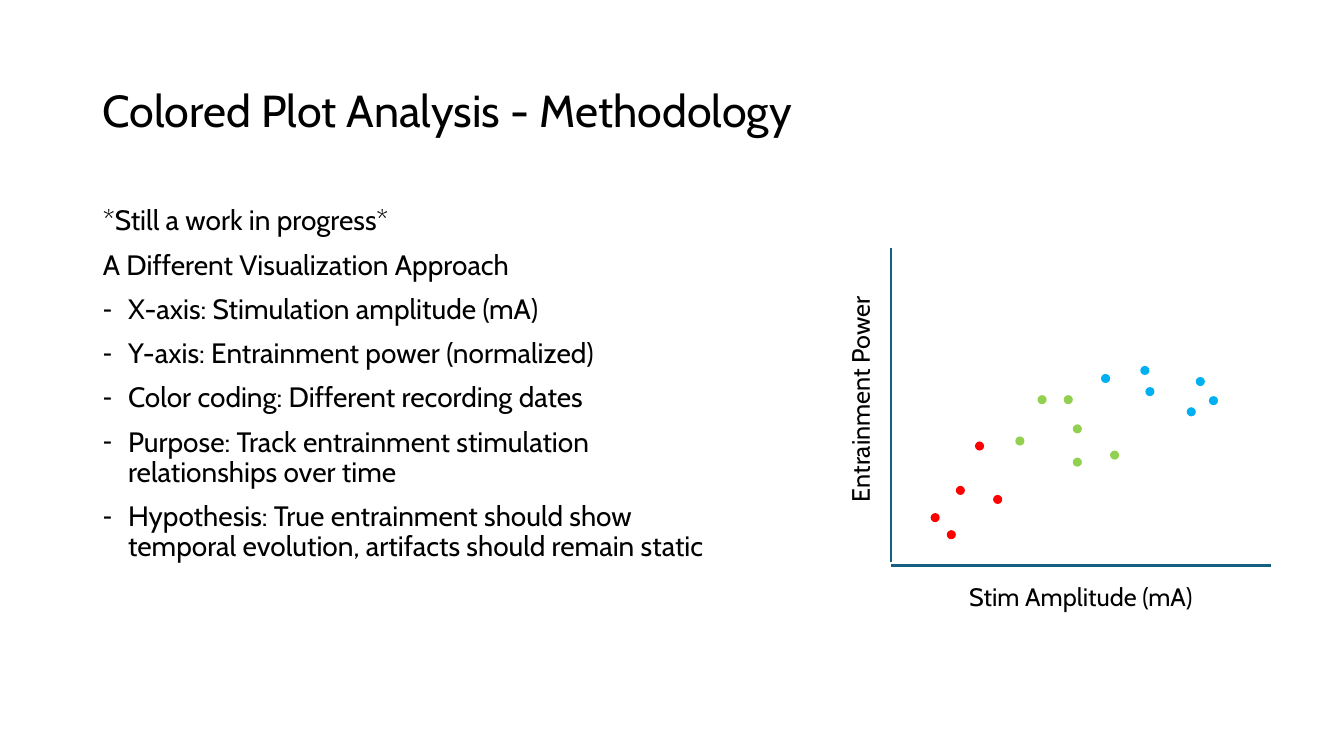
from lxml import etree
from pptx import Presentation
from pptx.dml.color import RGBColor
from pptx.enum.shapes import MSO_CONNECTOR, MSO_SHAPE
from pptx.enum.text import MSO_ANCHOR, MSO_AUTO_SIZE, PP_ALIGN
from pptx.oxml.ns import qn
from pptx.util import Inches, Pt

LINE = MSO_CONNECTOR.STRAIGHT
DOT = MSO_SHAPE.OVAL
MIDDLE, TOP = MSO_ANCHOR.MIDDLE, MSO_ANCHOR.TOP
NO_FIT, GROW = MSO_AUTO_SIZE.NONE, MSO_AUTO_SIZE.SHAPE_TO_FIT_TEXT
LEFT, CENTER = PP_ALIGN.LEFT, PP_ALIGN.CENTER

BLACK = RGBColor(0x00, 0x00, 0x00)
TEAL = RGBColor(0x15, 0x60, 0x82)
RED = RGBColor(0xFF, 0x00, 0x00)
GREEN = RGBColor(0x92, 0xD0, 0x50)
BLUE = RGBColor(0x00, 0xB0, 0xF0)
FONT = "Cabin"

TITLE = "Colored Plot Analysis - Methodology"
INTRO = ["*Still a work in progress*", "A Different Visualization Approach"]
POINTS = [
    "X-axis: Stimulation amplitude (mA)",
    "Y-axis: Entrainment power (normalized)",
    "Color coding: Different recording dates",
    "Purpose: Track entrainment stimulation relationships over time",
    "Hypothesis: True entrainment should show temporal evolution, "
    "artifacts should remain static",
]
AXIS_LABELS = [
    ("Stim Amplitude (mA)", (9.5, 5.72, 2.44, 0.4), 0),
    ("Entrainment Power", (7.4, 3.76, 2.26, 0.4), 270),
]
RECORDINGS = {
    RED: [(9.23, 5.09), (9.39, 5.26), (9.48, 4.82), (9.85, 4.91), (9.67, 4.38)],
    GREEN: [(10.07, 4.33), (10.64, 4.54), (10.29, 3.92), (10.64, 4.21),
            (11.01, 4.47), (10.55, 3.92)],
    BLUE: [(10.92, 3.71), (11.36, 3.84), (11.31, 3.63), (11.86, 3.74),
           (11.99, 3.93), (11.77, 4.04)],
}
AXIS_X, AXIS_Y = 8.84, 5.61
AXES = [
    (AXIS_X, 2.46, AXIS_X, 5.58),
    (12.61, AXIS_Y, AXIS_X, AXIS_Y),
]
DOT_SIZE = 0.09
INDENT = 0.25


def place(sp, box):
    sp.left, sp.top, sp.width, sp.height = map(Inches, box)


def write(p, text, size, align=LEFT):
    p.alignment = align
    r = p.add_run()
    r.text = text
    r.font.name = FONT
    r.font.size = Pt(size)
    r.font.color.rgb = BLACK


def set_bullet(p, char=None):
    pPr = p._p.get_or_add_pPr()
    indent = Inches(INDENT) if char else 0
    pPr.set("marL", str(indent))
    pPr.set("indent", str(-indent))
    if char:
        etree.SubElement(pPr, qn("a:buChar")).set("char", char)
    else:
        etree.SubElement(pPr, qn("a:buNone"))


def add_title(s):
    sp = s.shapes.title
    place(sp, (0.92, 0.4, 11.5, 1.45))
    tf = sp.text_frame
    tf.auto_size = NO_FIT
    tf.vertical_anchor = MIDDLE
    p = tf.paragraphs[0]
    p.line_spacing = 0.9
    write(p, TITLE, 32)


def add_body(s):
    sp = s.placeholders[1]
    place(sp, (0.92, 2, 6.38, 4.76))
    tf = sp.text_frame
    tf.auto_size = NO_FIT
    tf.vertical_anchor = TOP
    lines = [(text, None) for text in INTRO] + [(text, "-") for text in POINTS]
    for i, (text, char) in enumerate(lines):
        p = tf.add_paragraph() if i else tf.paragraphs[0]
        p.line_spacing = 0.9
        p.space_before = Pt(10)
        set_bullet(p, char)
        write(p, text, 20)


def add_plot(s):
    for ends in AXES:
        axis = s.shapes.add_connector(LINE, *map(Inches, ends))
        axis.line.color.rgb = TEAL
        axis.line.width = Pt(1.5)
        etree.SubElement(axis._element.spPr, qn("a:effectLst"))
    for text, box, angle in AXIS_LABELS:
        sp = s.shapes.add_textbox(*map(Inches, box))
        sp.rotation = angle
        tf = sp.text_frame
        tf.word_wrap = False
        tf.auto_size = GROW
        write(tf.paragraphs[0], text, 18, CENTER)
    for color, dots in RECORDINGS.items():
        for x, y in dots:
            sp = s.shapes.add_shape(DOT, *map(Inches, (x, y, DOT_SIZE, DOT_SIZE)))
            sp.shadow.inherit = False
            sp.fill.solid()
            sp.fill.fore_color.rgb = color
            sp.line.fill.background()


def main():
    prs = Presentation()
    prs.slide_width, prs.slide_height = Inches(13.33), Inches(7.5)
    s = prs.slides.add_slide(prs.slide_layouts[1])
    add_title(s)
    add_body(s)
    add_plot(s)
    prs.save("out.pptx")


if __name__ == "__main__":
    main()
